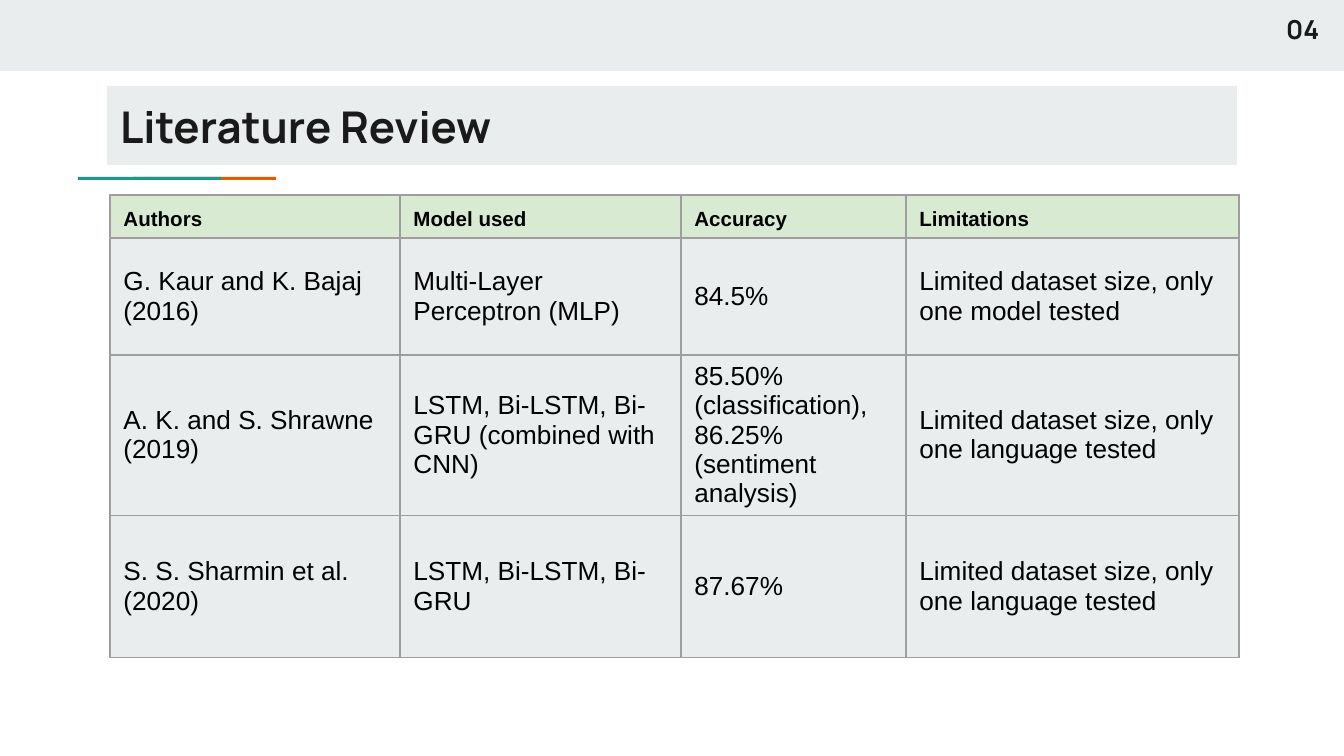
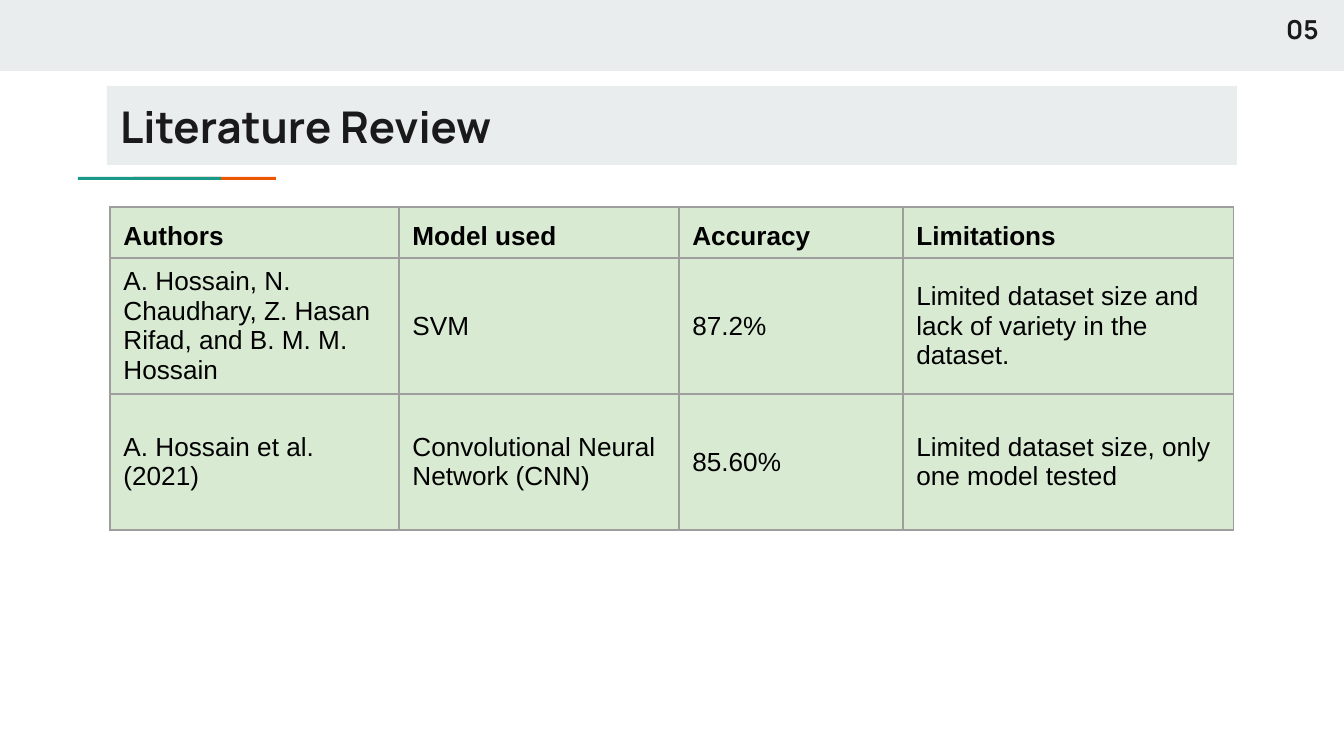
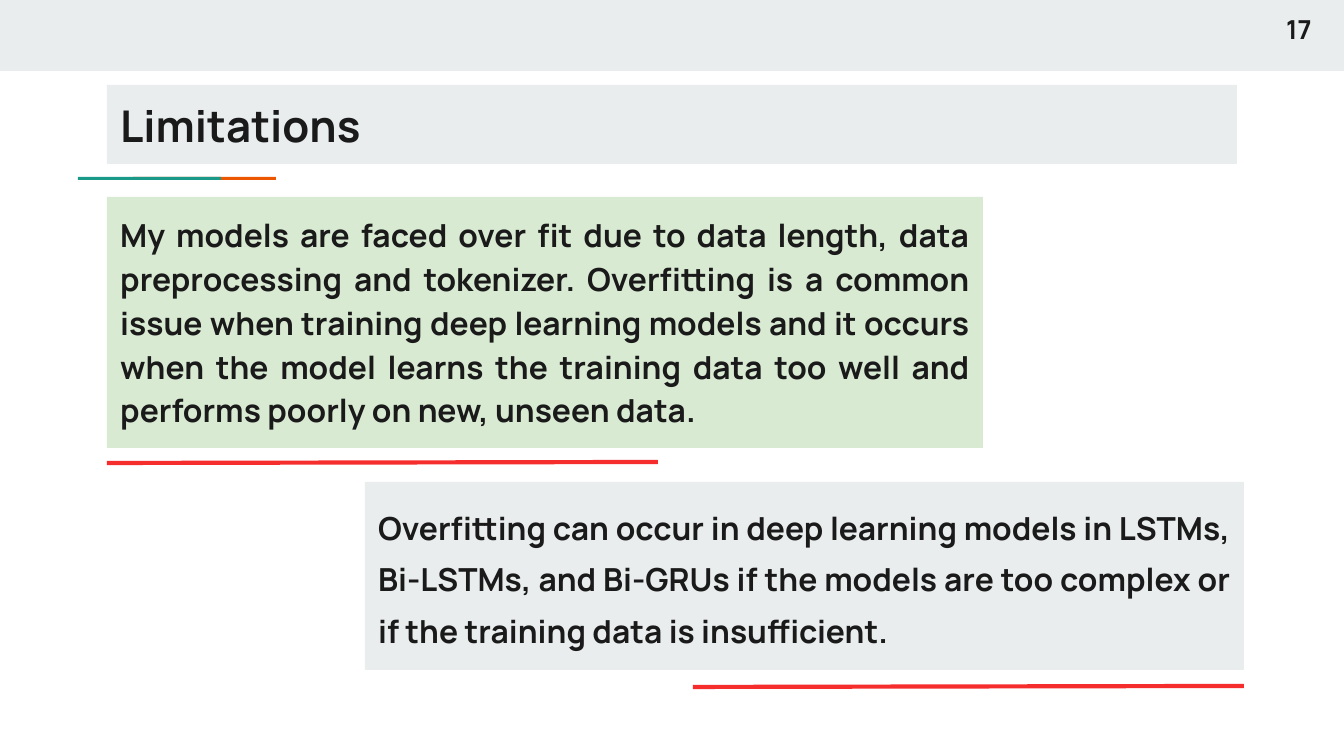
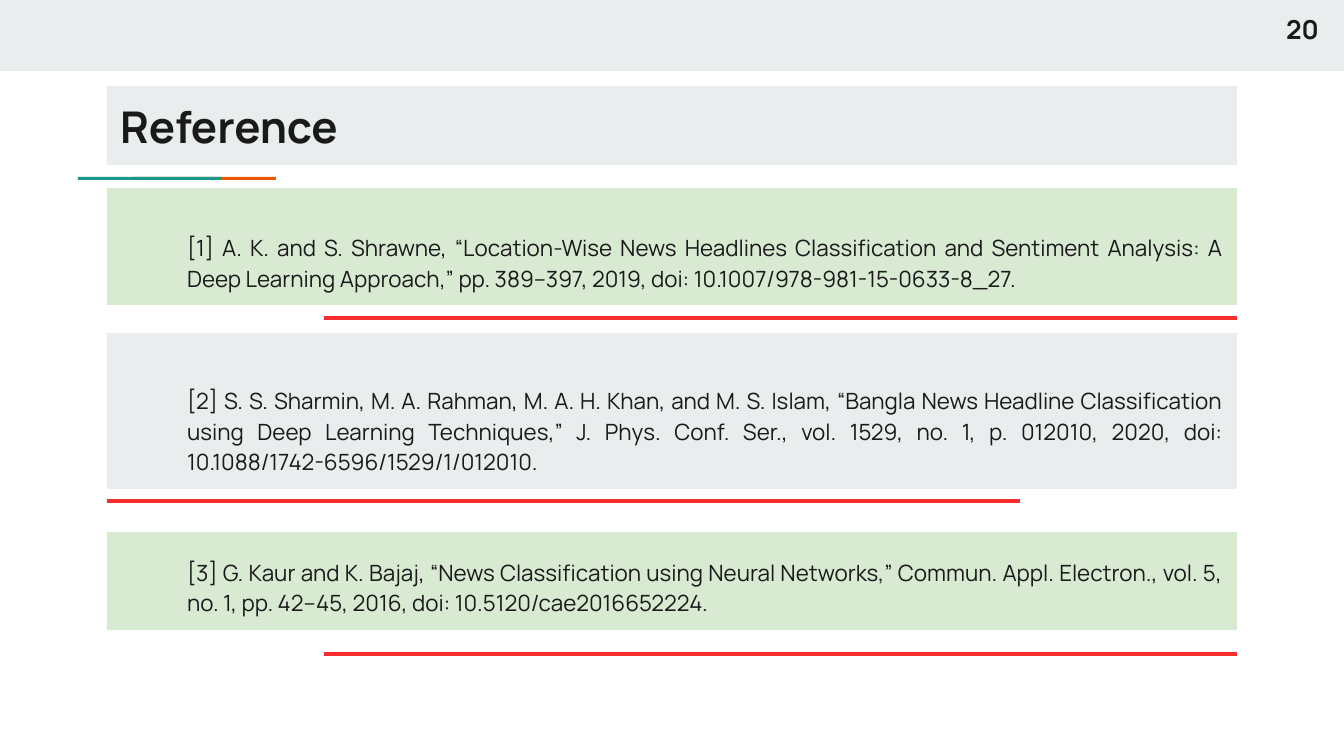
from pptx import Presentation
from pptx.dml.color import RGBColor
from pptx.enum.shapes import MSO_CONNECTOR, MSO_SHAPE
from pptx.enum.text import MSO_ANCHOR, PP_ALIGN
from pptx.oxml.ns import qn
from pptx.util import Pt
from lxml.etree import SubElement

SCALE = 914400 / 134.4  # EMU in one px
WIDE, HIGH = 1344, 756
GREY, GREEN, INK, BLACK = "E9EDEE", "D9EAD3", "1A1A1A", "000000"
TEAL, ORANGE, RED, EDGE = "1A9988", "EB5600", "F52D2D", "9E9E9E"

# Type styles shared by the slides
HEAD = {"name": "Manrope", "size": Pt(23.4), "bold": True}
PAGE = {"name": "Manrope", "size": Pt(14), "bold": True}
BODY = {"name": "Manrope", "size": Pt(17), "bold": True}
CITE = {"name": "Manrope", "size": Pt(12), "bold": False}
CELL = {"name": "Arial", "size": Pt(14), "bold": False}


def px(n):
    return round(n * SCALE)


def hue(code):
    return RGBColor.from_string(code)


def apply(item, look):
    for key, value in look.items():
        setattr(item, key, value)


def write(para, text, look, ink=INK):
    para.text = text
    apply(para.font, look)
    para.font.color.rgb = hue(ink)


def block(slide, box, tint, text="", look=BODY, para={}, indent=0,
          anchor=MSO_ANCHOR.TOP):
    """Plain filled rectangle, with text if there is any."""
    shape = slide.shapes.add_shape(MSO_SHAPE.RECTANGLE, *map(px, box))
    shape.shadow.inherit = False
    shape.fill.solid()
    shape.fill.fore_color.rgb = hue(tint)
    shape.line.fill.background()
    if text:
        frame = shape.text_frame
        sides = ("left", "right", "top", "bottom")
        apply(frame, {f"margin_{side}": px(13.44) for side in sides})
        apply(frame, {"word_wrap": True, "vertical_anchor": anchor})
        first = frame.paragraphs[0]
        if indent:
            apply_indent = first._p.get_or_add_pPr()
            apply_indent.set("marL", str(px(indent)))
            apply_indent.set("indent", "0")
        apply(first, {"alignment": PP_ALIGN.LEFT, **para})
        write(first, text, look)


def stroke(slide, x1, y1, x2, y2):
    line = slide.shapes.add_connector(
        MSO_CONNECTOR.STRAIGHT, *map(px, (x1, y1, x2, y2)))
    line.line.color.rgb = hue(RED)
    line.line.width = Pt(2.25)
    SubElement(line._element.spPr, qn("a:effectLst"))


def base(deck, title, page, top=86):
    """Slide with the top band, accent bar, title and page number."""
    slide = deck.slides.add_slide(deck.slide_layouts[6])
    block(slide, (0, 0, WIDE, 71), GREY)
    for x, tint in ((133, ORANGE), (78, TEAL)):
        block(slide, (x, 177, 143, 3), tint)
    block(slide, (107, top, 1130, 79), GREY, title, HEAD)
    block(slide, (1273, 0, 71, 43), GREY, page, PAGE)
    return slide


def card(slide, box, tint, text, span, gap, right, tilt=0, **style):
    """Text panel with a red rule below it, flush left or right."""
    x, y, w, h = box
    block(slide, box, tint, text, **style)
    start = x + w - span if right else x
    low = y + h + gap
    stroke(slide, start + span, low - tilt, start, low)


def border(cell):
    props = cell._tc.get_or_add_tcPr()
    for side in ("lnL", "lnR", "lnT", "lnB"):
        edge = SubElement(props, qn(f"a:{side}"), w=str(Pt(0.75)))
        fill = SubElement(edge, qn("a:solidFill"))
        SubElement(fill, qn("a:srgbClr"), val=EDGE)


def grid(slide, left, top, cols, rows, data, tint, size):
    """Table with a green header row; size is that of the header text."""
    box = map(px, (left, top, sum(cols), sum(rows)))
    table = slide.shapes.add_table(len(rows), len(cols), *box).table
    apply(table, {"first_row": False, "horz_banding": False})
    for col, w in zip(table.columns, cols):
        col.width = px(w)
    for r, (row, h) in enumerate(zip(table.rows, rows)):
        row.height = px(h)
        head = r == 0
        look = {**CELL, "size": Pt(size), "bold": True} if head else CELL
        for cell, text in zip(row.cells, data[r]):
            border(cell)
            cell.fill.solid()
            cell.fill.fore_color.rgb = hue(GREEN if head else tint)
            cell.vertical_anchor = (
                MSO_ANCHOR.BOTTOM if head else MSO_ANCHOR.MIDDLE)
            write(cell.text_frame.paragraphs[0], text, look, BLACK)


NAMES = ("Authors", "Model used", "Accuracy", "Limitations")
ONE = "Limited dataset size, only one model tested"
TONGUE = "Limited dataset size, only one language tested"
EARLY = (
    NAMES,
    ("G. Kaur and K. Bajaj (2016)", "Multi-Layer Perceptron (MLP)",
     "84.5%", ONE),
    ("A. K. and S. Shrawne (2019)",
     "LSTM, Bi-LSTM, Bi-GRU (combined with CNN)",
     "85.50% (classification), 86.25% (sentiment analysis)", TONGUE),
    ("S. S. Sharmin et al. (2020)", "LSTM, Bi-LSTM, Bi-GRU",
     "87.67%", TONGUE),
)
LATER = (
    NAMES,
    ("A. Hossain, N. Chaudhary, Z. Hasan Rifad, and B. M. M. Hossain",
     "SVM", "87.2%",
     "Limited dataset size and lack of variety in the dataset."),
    ("A. Hossain et al. (2021)", "Convolutional Neural Network (CNN)",
     "85.60%", ONE),
)

# Box, tint, text, line spacing, gap to the rule, rule at right
LIMITS = (
    ((107, 197, 876, 251), GREEN,
     "My models are faced over fit due to data length, data preprocessing "
     "and tokenizer. Overfitting is a common issue when training deep "
     "learning models and it occurs when the model learns the training "
     "data too well and performs poorly on new, unseen data.",
     1.15, 15, False),
    ((365, 482, 879, 188), GREY,
     "Overfitting can occur in deep learning models in LSTMs, Bi-LSTMs, "
     "and Bi-GRUs if the models are too complex or if the training data "
     "is insufficient.",
     1.35, 17, True),
)

# Top, height, tint, text, gap to the rule, rule at right
WORKS = (
    (188, 117, GREEN,
     "[1] A. K. and S. Shrawne, “Location-Wise News Headlines "
     "Classification and Sentiment Analysis: A Deep Learning Approach,” "
     "pp. 389–397, 2019, doi: 10.1007/978-981-15-0633-8_27.", 13, True),
    (333, 156, GREY,
     "[2] S. S. Sharmin, M. A. Rahman, M. A. H. Khan, and M. S. Islam, "
     "“Bangla News Headline Classification using Deep Learning "
     "Techniques,” J. Phys. Conf. Ser., vol. 1529, no. 1, p. 012010, "
     "2020, doi: 10.1088/1742-6596/1529/1/012010.", 12, False),
    (532, 98, GREEN,
     "[3] G. Kaur and K. Bajaj, “News Classification using Neural "
     "Networks,” Commun. Appl. Electron., vol. 5, no. 1, pp. 42–45, 2016, "
     "doi: 10.5120/cae2016652224.", 24, True),
)


def flow(space):
    return {"alignment": PP_ALIGN.JUSTIFY, "line_spacing": space,
            "space_after": Pt(12)}


def limits(deck):
    slide = base(deck, "Limitations", "17", top=85)
    for box, tint, text, space, gap, right in LIMITS:
        card(slide, box, tint, text, 551, gap, right, tilt=1,
             para=flow(space))


def works(deck):
    slide = base(deck, "Reference", "20")
    for top, h, tint, text, gap, right in WORKS:
        card(slide, (107, top, 1130, h), tint, text, 913, gap, right,
             look=CITE, para=flow(1.15), indent=67,
             anchor=MSO_ANCHOR.BOTTOM)


def main():
    deck = Presentation()
    deck.slide_width, deck.slide_height = px(WIDE), px(HIGH)
    title = "Literature Review"
    grid(base(deck, title, "04"), 110, 195, (290, 281, 225, 333),
         (43, 117, 149, 142), EARLY, GREY, 11)
    grid(base(deck, title, "05"), 110, 207, (289, 280, 224, 331),
         (51, 136, 136), LATER, GREEN, 14)
    limits(deck)
    works(deck)
    deck.save("out.pptx")


if __name__ == "__main__":
    main()
